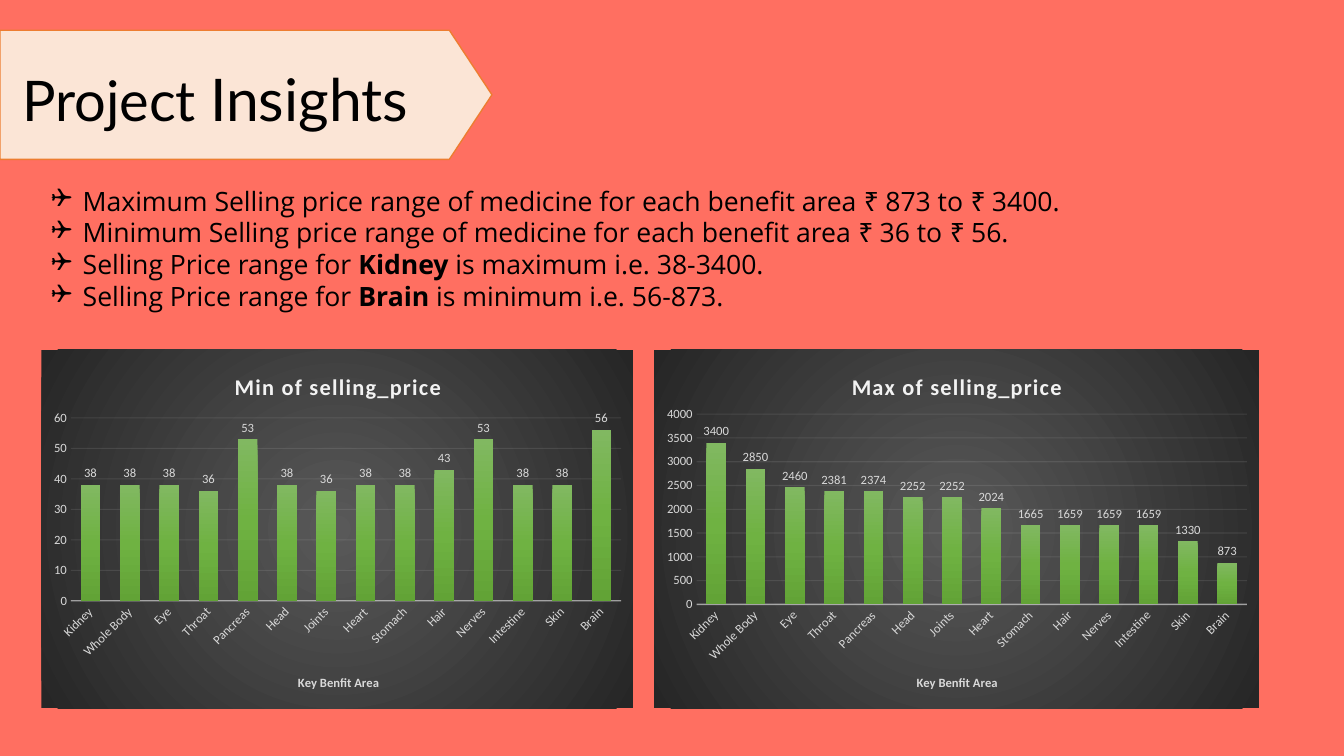
from lxml import etree
from pptx import Presentation
from pptx.chart.data import CategoryChartData as Data
from pptx.dml.color import RGBColor as RGB
from pptx.enum.chart import XL_CHART_TYPE as Kind, XL_LABEL_POSITION as Spot
from pptx.enum.chart import XL_TICK_MARK as Tick
from pptx.enum.shapes import MSO_SHAPE as Form
from pptx.enum.text import MSO_ANCHOR as Anchor, PP_ALIGN as Align
from pptx.oxml import parse_xml
from pptx.oxml.ns import nsdecls, qn
from pptx.util import Pt

AREAS = ["Kidney", "Whole Body", "Eye", "Throat", "Pancreas", "Head", "Joints",
         "Heart", "Stomach", "Hair", "Nerves", "Intestine", "Skin", "Brain"]
LOWS = [38, 38, 38, 36, 53, 38, 36, 38, 38, 43, 53, 38, 38, 56]
HIGHS = [3400, 2850, 2460, 2381, 2374, 2252, 2252, 2024, 1665, 1659, 1659,
         1659, 1330, 873]
NOTES = [
    [("Maximum Selling price range of medicine for each benefit area "
      "₹ 873 to ₹ 3400.", False)],
    [("Minimum Selling price range of medicine for each benefit area "
      "₹ 36 to ₹ 56.", False)],
    [("Selling Price range for ", False), ("Kidney", True),
     (" is maximum i.e. 38-3400.", False)],
    [("Selling Price range for ", False), ("Brain", True),
     (" is minimum i.e. 56-873.", False)],
]
ROUND = ('<a:path path="circle"><a:fillToRect l="50000" t="50000" '
         'r="50000" b="50000"/></a:path>')
DOWN = '<a:lin ang="5400000" scaled="0"/>'


def tint(code):
    """Turn a hex string into a colour."""
    return RGB.from_string(code)


def style(font, size, code, name="Calibri", bold=False):
    """Set the look of a font."""
    font.size, font.name, font.bold = Pt(size), name, bold
    font.color.rgb = tint(code)


def write(para, text, *look):
    """Add one styled run to a paragraph."""
    run = para.add_run()
    run.text = text
    style(run.font, *look)
    return run


def blend(stops, way):
    """Build a gradient fill from its stops and direction."""
    marks = "".join(f'<a:gs pos="{pos * 1000}"><a:srgbClr val="{code}"/></a:gs>'
                    for pos, code in stops)
    return parse_xml(f'<a:gradFill {nsdecls("a")} rotWithShape="1">'
                     f'<a:gsLst>{marks}</a:gsLst>{way}</a:gradFill>')


def rule(line, width, alpha):
    """Draw a chart line in translucent pale grey."""
    line.width = Pt(width)
    line.color.rgb = tint("F2F2F2")
    clr = line.fill._xPr.find(".//" + qn("a:srgbClr"))
    etree.SubElement(clr, qn("a:alpha")).set("val", str(alpha * 1000))


def place(part, inner=False, **sides):
    """Fix the layout of a chart part as shares of the chart."""
    for old in part.findall(qn("c:layout")):
        part.remove(old)
    rows = [("layoutTarget", "inner")] if inner else []
    rows += [(f"{side}Mode", "edge") for side in "xy"]
    rows += sides.items()
    body = "".join(f'<c:{tag} val="{val}"/>' for tag, val in rows)
    node = parse_xml(f'<c:layout {nsdecls("c")}><c:manualLayout>{body}'
                     '</c:manualLayout></c:layout>')
    text = part.find(qn("c:tx"))
    if text is None:
        part.insert(0, node)
    else:
        text.addnext(node)


def head(slide):
    """Draw the banner and its title."""
    flag = slide.shapes.add_shape(Form.PENTAGON, 0, Pt(21.6), Pt(351.4), Pt(92.2))
    flag.adjustments[0] = 0.33
    flag.shadow.inherit = False
    flag.fill.solid()
    flag.fill.fore_color.rgb = tint("FBE5D6")
    flag.line.color.rgb = tint("ED7D31")
    flag.line.width = Pt(1)
    title = slide.shapes.title
    title.left, title.top = Pt(8.6), Pt(41)
    title.width, title.height = Pt(314), Pt(58.3)
    slide.shapes._spTree.append(title._element)
    title.text_frame.vertical_anchor = Anchor.TOP
    para = title.text_frame.paragraphs[0]
    para.alignment = Align.LEFT
    write(para, "Project ", 40, "000000", "Lato")
    write(para, "Insights", 42, "000000", "Lato")


def points(slide):
    """Write the bulleted findings."""
    box = slide.shapes.add_textbox(Pt(29.5), Pt(128.2), Pt(759), Pt(99.4))
    frame = box.text_frame
    frame.word_wrap = True
    for i, note in enumerate(NOTES):
        para = frame.add_paragraph() if i else frame.paragraphs[0]
        props = para._p.get_or_add_pPr()
        props.set("marL", str(Pt(22.5)))
        props.set("indent", str(Pt(-22.5)))
        etree.SubElement(props, qn("a:buFont")).set("typeface", "Wingdings")
        etree.SubElement(props, qn("a:buChar")).set("char", "❑")
        for text, bold in note:
            write(para, text, 19, "000000", "Open Sans", bold)


def axes(chart, top, step):
    """Format both axes of a chart."""
    cat, val = chart.category_axis, chart.value_axis
    for axis in (cat, val):
        axis.major_tick_mark = axis.minor_tick_mark = Tick.NONE
        style(axis.tick_labels.font, 9, "D9D9D9")
    rule(cat.format.line, 1, 54)
    turn = cat._element.find(qn("c:txPr")).find(qn("a:bodyPr"))
    turn.set("rot", "-2700000")
    para = cat.axis_title.text_frame.paragraphs[0]
    write(para, "Key Benfit Area", 9, "D9D9D9", "Calibri", True)
    place(cat.axis_title._element, x=0.43, y=0.9)
    val.minimum_scale, val.maximum_scale, val.major_unit = 0, top, step
    val.format.line.fill.background()
    rule(val.major_gridlines.format.line, 0.75, 10)


def graph(slide, name, vals, left, width, top, step, plot):
    """Add one column chart of prices by benefit area."""
    data = Data()
    data.categories = AREAS
    data.add_series(name, vals)
    chart = slide.shapes.add_chart(Kind.COLUMN_CLUSTERED, Pt(left), Pt(249.8),
                                   Pt(width), Pt(256.3), data).chart
    style(chart.font, 10, "000000")
    chart.has_legend = False
    back = parse_xml(f'<c:spPr {nsdecls("c", "a")}><a:ln><a:noFill/></a:ln></c:spPr>')
    back.insert(0, blend([(0, "595959"), (100, "262626")], ROUND))
    chart._chartSpace.find(qn("c:chart")).addnext(back)
    para = chart.chart_title.text_frame.paragraphs[0]
    run = write(para, name, 16, "F2F2F2", "Calibri", True)
    run.font._element.set("spc", "100")
    place(chart.chart_title._element, x=0.32, y=0.05)
    axes(chart, top, step)
    x, y, w, h = plot
    place(chart._chartSpace.find(".//" + qn("c:plotArea")), True, x=x, y=y, w=w, h=h)
    bars = chart.plots[0]
    bars.gap_width, bars.overlap, bars.vary_by_categories = 100, -24, False
    fill = bars.series[0].format.fill
    fill.solid()
    solid = fill._xPr.find(qn("a:solidFill"))
    fill._xPr.replace(solid, blend(
        [(0, "81B861"), (50, "6FB242"), (100, "62A336")], DOWN))
    bars.has_data_labels = True
    tags = bars.data_labels
    tags.show_value, tags.position = True, Spot.OUTSIDE_END
    style(tags.font, 9, "D9D9D9")


def main():
    """Build the slide and save it."""
    deck = Presentation()
    deck.slide_width, deck.slide_height = Pt(960), Pt(540)
    slide = deck.slides.add_slide(deck.slide_layouts[5])
    slide.background.fill.solid()
    slide.background.fill.fore_color.rgb = tint("FF6F61")
    head(slide)
    points(slide)
    graph(slide, "Min of selling_price", LOWS, 29.5, 422.6, 60, 10,
          (0.05, 0.19, 0.93, 0.51))
    graph(slide, "Max of selling_price", HIGHS, 467.3, 432, 4000, 500,
          (0.07, 0.18, 0.91, 0.53))
    deck.save("out.pptx")


if __name__ == "__main__":
    main()
